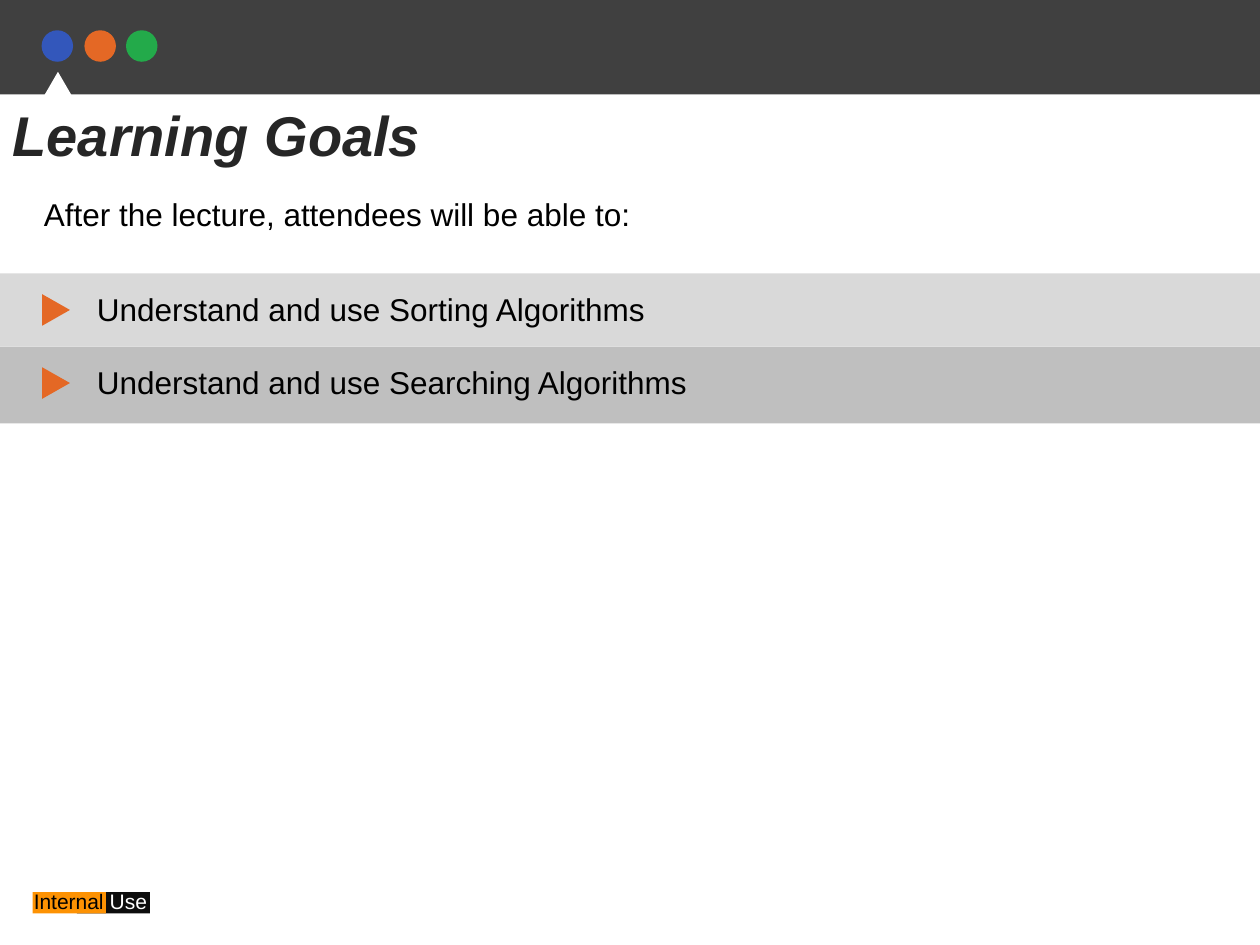
from pptx import Presentation
from pptx.dml.color import RGBColor
from pptx.enum.shapes import MSO_SHAPE
from pptx.enum.text import MSO_ANCHOR, PP_ALIGN
from pptx.util import Inches, Pt

THEME = {
    "font": "Arial",
    "title_size": 32, "body_size": 18, "label_size": 12,
    "ink": "000000", "title": "262626", "paper": "FFFFFF", "header": "404040",
    "blue": "3357BB", "orange": "E46825", "green": "23AA4A",
    "label_dark": "0D0D0D", "label_orange": "FD9203",
}
WIDTH, HEIGHT = 10, 7.5
HEADER_HEIGHT = HEIGHT / 10
TITLE = "Learning Goals"
INTRO = "After the lecture, attendees will be able to:"
DOTS = ["blue", "orange", "green"]
LABEL = [("Internal ", "ink"), ("Use", "paper")]
LABEL_BLOCKS = [(0.61, "label_dark"), (0.26, "label_orange")]
GOALS = [  # text, band colour, band height
    ("Understand and use Sorting Algorithms", "D9D9D9", 0.58),
    ("Understand and use Searching Algorithms", "BFBFBF", 0.61),
]
GOALS_TOP, GOAL_PITCH = 2.17, 0.58


def color(name):
    """Return a theme colour, or a plain hex value, as RGB."""
    return RGBColor.from_string(THEME.get(name, name))


def add_block(page, kind, area, fill, rotation=0):
    """Add a plain filled shape without outline."""
    block = page.shapes.add_shape(kind, *map(Inches, area))
    block.shadow.inherit = False
    block.fill.solid()
    block.fill.fore_color.rgb = color(fill)
    block.line.fill.background()
    block.rotation = rotation


def write(box, spans, size, bold=False, italic=False):
    """Fill a box with one left-aligned paragraph of coloured spans."""
    frame = box.text_frame
    frame.word_wrap = True
    frame.vertical_anchor = MSO_ANCHOR.TOP
    para = frame.paragraphs[0]
    para.alignment = PP_ALIGN.LEFT
    para.font.name = THEME["font"]
    para.font.size = Pt(THEME[size])
    para.font.bold, para.font.italic = bold, italic
    for text, ink in spans:
        span = para.add_run()
        span.text = text
        span.font.color.rgb = color(ink)


def add_text(page, area, spans, size):
    """Add a text box holding one paragraph."""
    write(page.shapes.add_textbox(*map(Inches, area)), spans, size)


def add_header(page):
    """Draw the top band with its dots and pointer."""
    add_block(page, MSO_SHAPE.RECTANGLE, (0, 0, WIDTH, HEADER_HEIGHT), "header")
    for index, fill in enumerate(DOTS):
        left = round((index + 1) / 3, 2)
        add_block(page, MSO_SHAPE.OVAL, (left, 0.24, 0.25, 0.25), fill)
    add_block(page, MSO_SHAPE.ISOSCELES_TRIANGLE, (0.17, 0.57, 0.58, 0.5), "paper")


def add_label(page):
    """Draw the two-coloured usage label at the bottom."""
    for left, fill in LABEL_BLOCKS:
        add_block(page, MSO_SHAPE.RECTANGLE, (left, 7.08, 0.58, 0.17), fill)
    add_text(page, (0.17, 7, 1.5, 0.3), LABEL, "label_size")


def add_title(page):
    """Place the title above the header pointer in the drawing order."""
    title = page.shapes.title
    page.shapes.element.append(title.element)
    title.left, title.top, title.width, title.height = map(
        Inches, (0, HEADER_HEIGHT, 4.67, 0.64))
    write(title, [(TITLE, "title")], "title_size", bold=True, italic=True)


def add_goals(page):
    """Draw one band with a marker for each goal."""
    for index, (text, fill, height) in enumerate(GOALS):
        top = GOALS_TOP + index * GOAL_PITCH
        add_block(page, MSO_SHAPE.RECTANGLE, (0, top, WIDTH, height), fill)
        add_text(page, (0.67, top + 0.08, 8.92, 0.4), [(text, "ink")], "body_size")
        add_block(page, MSO_SHAPE.ISOSCELES_TRIANGLE,
                  (0.32, top + 0.18, 0.25, 0.22), "orange", rotation=90)


deck = Presentation()
deck.slide_width, deck.slide_height = Inches(WIDTH), Inches(HEIGHT)
page = deck.slides.add_slide(deck.slide_layouts[5])
add_header(page)
add_label(page)
add_title(page)
add_text(page, (0.25, 1.5, 7, 0.5), [(INTRO, "ink")], "body_size")
add_goals(page)
deck.save("out.pptx")
